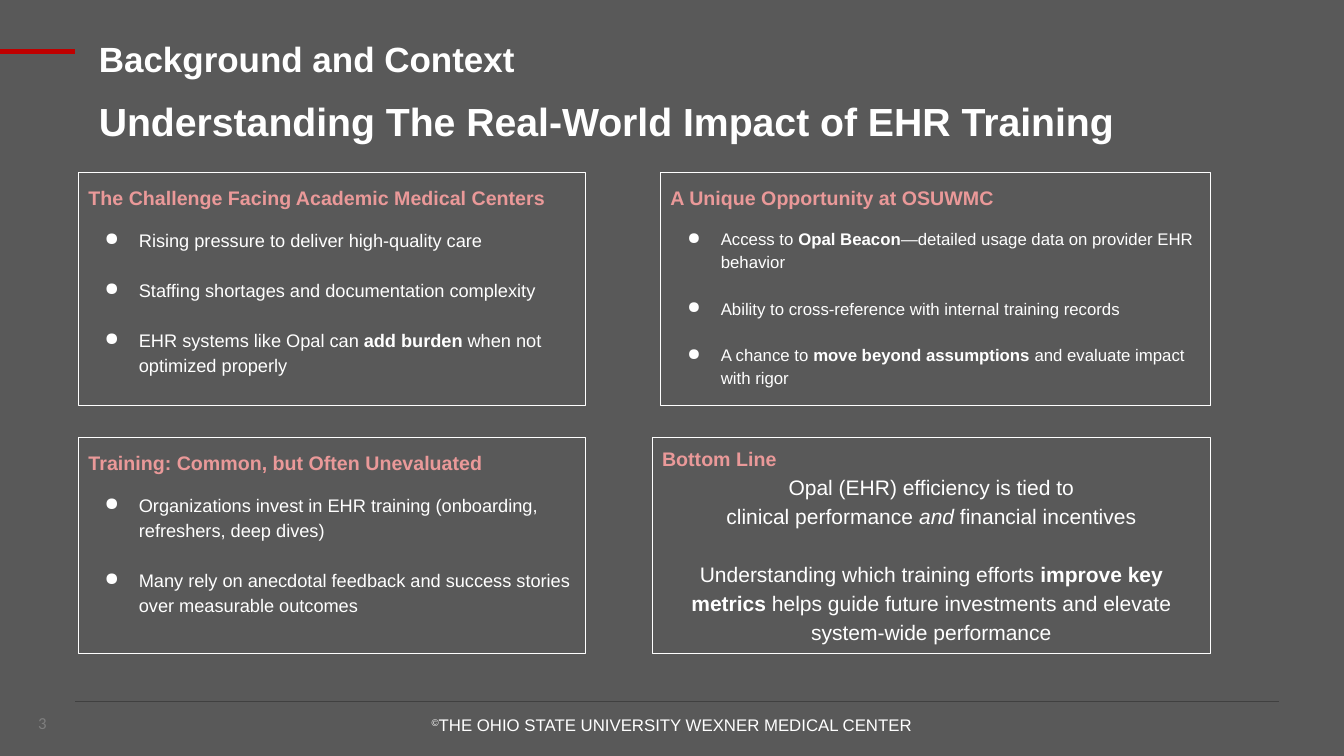
"""Build the slide on the background and context of EHR training."""
from dataclasses import dataclass
from lxml import etree
from pptx import Presentation, util as u
from pptx.dml.color import RGBColor
from pptx.enum import shapes as s, text as t
from pptx.oxml.ns import qn


@dataclass(frozen=True)
class Theme:
    """Colours, fonts and type sizes."""
    back: str = "595959"
    white: str = "FFFFFF"
    pink: str = "EA9999"
    red: str = "C00000"
    rule: str = "404040"
    gray: str = "7F7F7F"
    font: str = "Arial"
    alt: str = "Calibri"
    kicker: int = 25
    title: int = 28
    head: int = 14
    small: int = 12
    lead: float = 1.15
    full: float = 1.38


@dataclass(frozen=True)
class Box:
    """A place in centimetres."""
    left: float
    top: float
    width: float
    height: float

    def emu(self) -> tuple:
        """Give the place as lengths."""
        return tuple(u.Cm(n) for n in (self.left, self.top, self.width, self.height))


@dataclass(frozen=True)
class Line:
    """A paragraph with emphasis between bars and a gap in text lines."""
    text: str
    gap: float = 1
    slant: bool = False


@dataclass(frozen=True)
class Card:
    """A framed panel with a heading and its lines."""
    box: Box
    head: str
    size: int
    lines: tuple
    hang: float = 0


@dataclass(frozen=True)
class Rule:
    """A level line."""
    start: float
    end: float
    top: float
    color: str
    width: float


LOOK = Theme()
LEFT, RIGHT, EDGE = 1.98, 16.64, 30.5
TOP, LOW = 4.34, 11.02
CARDS = (
    Card(Box(LEFT, TOP, 12.78, 5.89), "The Challenge Facing Academic Medical Centers", 13, (
        Line("Rising pressure to deliver high-quality care"),
        Line("Staffing shortages and documentation complexity"),
        Line("EHR systems like Opal can |add burden |when not optimized properly")), 0.86),
    Card(Box(LEFT, LOW, 12.78, 5.44), "Training: Common, but Often Unevaluated", 13, (
        Line("Organizations invest in EHR training (onboarding, refreshers, deep dives)"),
        Line("Many rely on anecdotal feedback and success stories over measurable outcomes")),
        0.86),
    Card(Box(RIGHT, TOP, EDGE - RIGHT, 5.89), "A Unique Opportunity at OSUWMC", 12, (
        Line("Access to |Opal Beacon|—detailed usage data on provider EHR behavior"),
        Line("Ability to cross-reference with internal training records"),
        Line("A chance to |move beyond assumptions| and evaluate impact with rigor")), 0.84),
    Card(Box(16.43, LOW, EDGE - 16.43, 5.44), "Bottom Line", 15, (
        Line("Opal (EHR) efficiency is tied to", 0),
        Line("clinical performance |and| financial incentives", 0, True),
        Line("Understanding which training efforts |improve key metrics| helps guide future "
             "investments and elevate system-wide performance"))),
)
RULES = (Rule(0, 1.9, 1.3, LOOK.red, 3), Rule(1.9, 32.21, 17.68, LOOK.rule, 1))


def style(font, size: float, color: str, bold: bool = False, name: str = LOOK.font) -> None:
    """Set the look of a font."""
    font.name, font.size, font.bold = name, u.Pt(size), bold
    font.color.rgb = RGBColor.from_string(color)


def frame(shape, side: float = 0.25, edge: float = 0.13,
          anchor=t.MSO_ANCHOR.TOP):
    """Prepare a text frame and return it."""
    area = shape.text_frame
    area.word_wrap, area.auto_size = True, t.MSO_AUTO_SIZE.NONE
    area.vertical_anchor = anchor
    area.margin_left = area.margin_right = u.Cm(side)
    area.margin_top = area.margin_bottom = u.Cm(edge)
    return area


def draw_head(shape, box: Box, words: str, size: int) -> None:
    """Fill and place one of the two headings."""
    shape.left, shape.top, shape.width, shape.height = box.emu()
    para = frame(shape, anchor=t.MSO_ANCHOR.MIDDLE).paragraphs[0]
    para.text = words
    para.alignment, para.line_spacing = t.PP_ALIGN.LEFT, 0.9
    para.space_before = u.Pt(0)
    style(para.runs[0].font, size, LOOK.white, True)


def bullet(para, hang: float) -> None:
    """Give a paragraph a round white bullet."""
    props = para._p.get_or_add_pPr()
    props.set("marL", str(u.Cm(1.27)))
    props.set("indent", str(-u.Cm(hang)))
    tint = etree.SubElement(props, qn("a:buClr"))
    etree.SubElement(tint, qn("a:srgbClr")).set("val", LOOK.white)
    etree.SubElement(props, qn("a:buChar")).set("char", "●")


def draw_card(page, card: Card) -> None:
    """Draw a framed panel with its text."""
    shape = page.shapes.add_shape(s.MSO_SHAPE.RECTANGLE, *card.box.emu())
    shape.shadow.inherit = False
    shape.fill.background()
    shape.line.color.rgb = RGBColor.from_string(LOOK.white)
    shape.line.width = u.Pt(0.75)
    area = frame(shape, edge=0.25)
    head = area.paragraphs[0]
    head.text = card.head
    head.alignment = t.PP_ALIGN.LEFT
    head.line_spacing = LOOK.lead if card.hang else 1.0
    style(head.runs[0].font, LOOK.head, LOOK.pink, True)
    for spot, line in enumerate(card.lines):
        para = area.add_paragraph()
        para.alignment = t.PP_ALIGN.LEFT if card.hang else t.PP_ALIGN.CENTER
        para.line_spacing = LOOK.lead
        first = card.hang and spot == 0
        para.space_before = u.Pt(12 if first else round(line.gap * card.size * LOOK.full, 1))
        if card.hang:
            bullet(para, card.hang)
        for part, words in enumerate(line.text.split("|")):
            run = para.add_run()
            run.text = words
            mark = part % 2 == 1
            style(run.font, card.size, LOOK.white, mark and not line.slant)
            run.font.italic = mark and line.slant


def draw_rule(page, rule: Rule) -> None:
    """Draw a level line without a shadow."""
    ends = (u.Cm(n) for n in (rule.start, rule.top, rule.end, rule.top))
    line = page.shapes.add_connector(s.MSO_CONNECTOR.STRAIGHT, *ends)
    line.line.color.rgb = RGBColor.from_string(rule.color)
    line.line.width = u.Pt(rule.width)
    etree.SubElement(line._element.spPr, qn("a:effectLst"))


def draw_foot(page) -> None:
    """Draw the page number and the copyright line."""
    num = frame(page.shapes.add_textbox(*Box(0.71, 17.83, 4.19, 0.76).emu())).paragraphs[0]
    num.text = "3"
    style(num.runs[0].font, LOOK.small, LOOK.gray, name=LOOK.alt)
    foot = page.shapes.add_textbox(*Box(0, 18.11, 33.86, 0.41).emu())
    para = frame(foot, 0, 0).paragraphs[0]
    para.alignment, para.line_spacing = t.PP_ALIGN.CENTER, 0.8
    for words in ("©", "THE OHIO STATE UNIVERSITY WEXNER MEDICAL CENTER"):
        run = para.add_run()
        run.text = words
        style(run.font, LOOK.small, LOOK.white)
    para.runs[0].font._element.set("baseline", "30000")


def main() -> None:
    """Build and save the slide."""
    deck = Presentation()
    deck.slide_width, deck.slide_height = u.Cm(33.86), u.Cm(19.05)
    page = deck.slides.add_slide(deck.slide_layouts[5])
    page.background.fill.solid()
    page.background.fill.fore_color.rgb = RGBColor.from_string(LOOK.back)
    draw_head(page.shapes.title, Box(2.24, 0.86, 30.66, 1.37),
              "Background and Context", LOOK.kicker)
    place = Box(2.24, 2.44, 30.66, 1.37)
    draw_head(page.shapes.add_textbox(*place.emu()), place,
              "Understanding The Real-World Impact of EHR Training", LOOK.title)
    for rule in RULES:
        draw_rule(page, rule)
    for card in CARDS:
        draw_card(page, card)
    draw_foot(page)
    deck.save("out.pptx")


if __name__ == "__main__":
    main()
